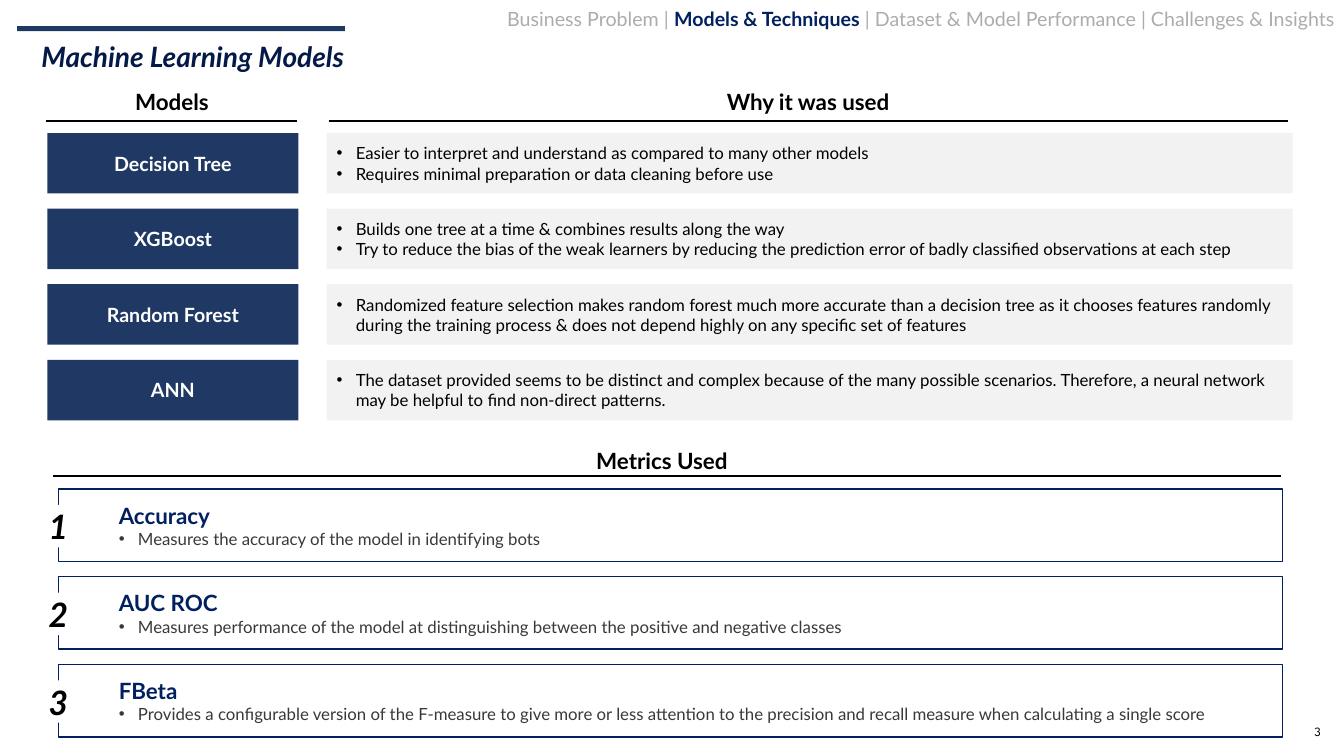
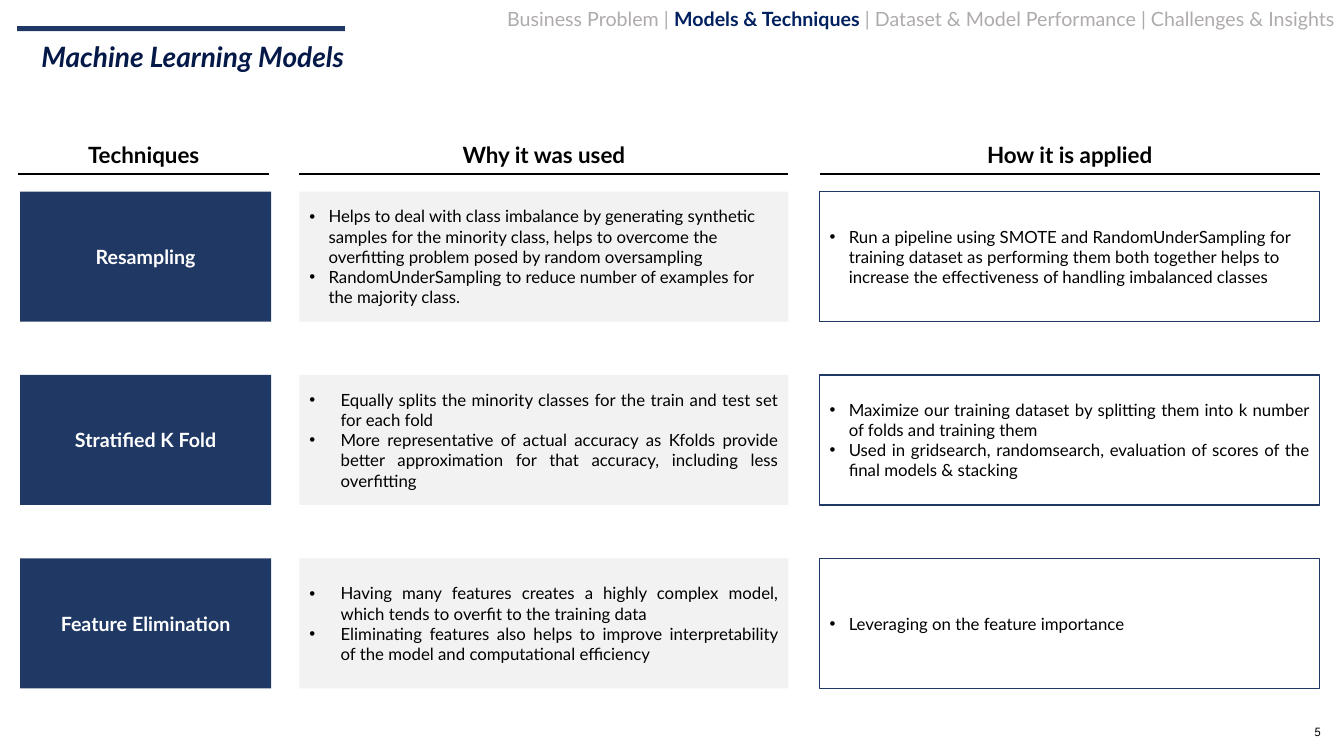
from lxml import etree
from pptx import Presentation
from pptx.dml.color import RGBColor
from pptx.enum.shapes import MSO_CONNECTOR, MSO_SHAPE
from pptx.enum.text import MSO_ANCHOR, MSO_AUTO_SIZE, PP_ALIGN
from pptx.oxml.ns import qn
from pptx.util import Inches, Pt

NAVY, DEEP_BLUE, TITLE_BLUE = "203864", "002060", "041948"
BLACK, WHITE, PALE, GREY, CHARCOAL = "000000", "FFFFFF", "F2F2F2", "AFABAB", "3B3838"
FONT, PAGE_FONT = "Lato", "League Spartan"
LEFT, CENTER, RIGHT, JUSTIFY = PP_ALIGN.LEFT, PP_ALIGN.CENTER, PP_ALIGN.RIGHT, PP_ALIGN.JUSTIFY
TITLE_ONLY = 5
HANG = 0.19

SECTIONS = ["Business Problem", "Models & Techniques",
            "Dataset & Model Performance", "Challenges & Insights"]

MODELS = [
    ("Decision Tree", ["Easier to interpret and understand as compared to many other models",
                       "Requires minimal preparation or data cleaning before use"]),
    ("XGBoost", ["Builds one tree at a time & combines results along the way",
                 "Try to reduce the bias of the weak learners by reducing the prediction error "
                 "of badly classified observations at each step"]),
    ("Random Forest", ["Randomized feature selection makes random forest much more accurate than "
                       "a decision tree as it chooses features randomly during the training "
                       "process & does not depend highly on any specific set of features"]),
    ("ANN", ["The dataset provided seems to be distinct and complex because of the many possible "
             "scenarios. Therefore, a neural network may be helpful to find non-direct patterns."]),
]

METRICS = [
    ("Accuracy", "Measures the accuracy of the model in identifying bots"),
    ("AUC ROC", "Measures performance of the model at distinguishing between the positive "
                "and negative classes"),
    ("FBeta", "Provides a configurable version of the F-measure to give more or less attention "
              "to the precision and recall measure when calculating a single score"),
]

# name, why it was used, how it is applied, alignment, hanging indent of the reasons
TECHNIQUES = [
    ("Resampling",
     ["Helps to deal with class imbalance by generating synthetic samples for the minority "
      "class, helps to overcome the overfitting problem posed by random oversampling",
      "RandomUnderSampling to reduce number of examples for the majority class."],
     ["Run a pipeline using SMOTE and RandomUnderSampling for training dataset as performing "
      "them both together helps to increase the effectiveness of handling imbalanced classes"],
     LEFT, HANG),
    ("Stratified K Fold",
     ["Equally splits the minority classes for the train and test set for each fold",
      "More representative of actual accuracy as Kfolds provide better approximation for that "
      "accuracy, including less overfitting"],
     ["Maximize our training dataset by splitting them into k number of folds and training them",
      "Used in gridsearch, randomsearch, evaluation of scores of the final models & stacking"],
     JUSTIFY, 0.31),
    ("Feature Elimination",
     ["Having many features creates a highly complex model, which tends to overfit to the "
      "training data",
      "Eliminating features also helps to improve interpretability of the model and "
      "computational efficiency"],
     ["Leveraging on the feature importance"],
     JUSTIFY, 0.31),
]


def rgb(color):
    return RGBColor.from_string(color)


def add_run(p, text, size, color, bold=False, italic=False, font=FONT):
    r = p.add_run()
    r.text = text
    f = r.font
    f.name, f.size, f.bold, f.italic = font, Pt(size), bold, italic
    f.color.rgb = rgb(color)


def indent(p, margin, hang=0):
    """Set the left margin, with a hanging bullet when hang is given."""
    pPr = p._p.get_or_add_pPr()
    pPr.set("marL", str(Inches(margin)))
    pPr.set("indent", str(-Inches(hang)))
    if hang:
        etree.SubElement(pPr, qn("a:buFont")).set("typeface", "Arial")
        etree.SubElement(pPr, qn("a:buChar")).set("char", "•")


class Deck:
    """The presentation's style and the slide being filled."""

    def __init__(self):
        self.prs = Presentation()
        self.prs.slide_width, self.prs.slide_height = Inches(13.33), Inches(7.5)
        self.slide = None

    def new_slide(self, title, section, page):
        self.slide = self.prs.slides.add_slide(self.prs.slide_layouts[TITLE_ONLY])
        self.box(0.17, 0.26, 3.25, 0.05, fill=NAVY)
        self.title(title)
        p = self.text_box(3.8, 0, 9.54, 0.38, RIGHT)
        for i, name in enumerate(SECTIONS):
            if i:
                add_run(p, " | ", 14, GREY)
            current = name == section
            add_run(p, name, 14, DEEP_BLUE if current else GREY, bold=current)
        p = self.text_box(12.54, 7.12, 0.66, 0.27, RIGHT)
        add_run(p, str(page), 9, BLACK, font=PAGE_FONT)

    def title(self, text):
        sp = self.slide.shapes.title
        sp.left, sp.top, sp.width, sp.height = map(Inches, (0.31, 0.38, 12.72, 0.68))
        tf = sp.text_frame
        tf.auto_size, tf.vertical_anchor = MSO_AUTO_SIZE.NONE, MSO_ANCHOR.TOP
        p = tf.paragraphs[0]
        p.alignment, p.line_spacing, p.space_before = LEFT, 0.9, Pt(10)
        add_run(p, text, 20, TITLE_BLUE, bold=True, italic=True)

    def text_box(self, left, top, width, height, align):
        """Add a text box and return its empty paragraph."""
        sp = self.slide.shapes.add_textbox(*map(Inches, (left, top, width, height)))
        tf = sp.text_frame
        tf.word_wrap, tf.vertical_anchor = True, MSO_ANCHOR.MIDDLE
        p = tf.paragraphs[0]
        p.alignment = align
        return p

    def box(self, left, top, width, height, fill=None, line=None):
        """Add a rectangle and return its text frame."""
        sp = self.slide.shapes.add_shape(
            MSO_SHAPE.RECTANGLE, *map(Inches, (left, top, width, height)))
        sp.shadow.inherit = False
        if fill:
            sp.fill.solid()
            sp.fill.fore_color.rgb = rgb(fill)
        else:
            sp.fill.background()
        if line:
            sp.line.color.rgb, sp.line.width = rgb(line), Pt(1)
        else:
            sp.line.fill.background()
        tf = sp.text_frame
        tf.word_wrap, tf.vertical_anchor = True, MSO_ANCHOR.MIDDLE
        return tf

    def label(self, text, left, top, width, height):
        p = self.box(left, top, width, height, fill=NAVY).paragraphs[0]
        p.alignment = CENTER
        add_run(p, text, 14, WHITE, bold=True)

    def bullets(self, items, left, top, width, height, align=LEFT, hang=HANG, **look):
        tf = self.box(left, top, width, height, **look)
        for i, item in enumerate(items):
            p = tf.add_paragraph() if i else tf.paragraphs[0]
            p.alignment = align
            indent(p, hang, hang)
            add_run(p, item, 12, BLACK)

    def rule(self, left, y, width):
        ln = self.slide.shapes.add_connector(
            MSO_CONNECTOR.STRAIGHT, *map(Inches, (left, y, left + width, y)))
        ln.line.color.rgb, ln.line.width = rgb(BLACK), Pt(1.5)
        etree.SubElement(ln._element.spPr, qn("a:effectLst"))

    def heading(self, text, left, top, width):
        p = self.text_box(left, top, width, 0.39, CENTER)
        add_run(p, text, 16, BLACK, bold=True)

    def column_head(self, text, left, top, width):
        self.heading(text, left, top, width)
        self.rule(left, top + 0.39, width)

    def metric(self, number, name, meaning, left, top):
        tf = self.box(left, top, 12.14, 0.72, line=DEEP_BLUE)
        p = tf.paragraphs[0]
        p.alignment = LEFT
        indent(p, 0.5)
        add_run(p, name, 16, DEEP_BLUE, bold=True)
        p = tf.add_paragraph()
        p.alignment = LEFT
        indent(p, 0.5 + HANG, HANG)
        add_run(p, meaning, 12, CHARCOAL)
        p = self.box(left - 0.26, top + 0.16, 0.52, 0.42, fill=WHITE).paragraphs[0]
        p.alignment = CENTER
        add_run(p, str(number), 24, BLACK, bold=True, italic=True)


def models_slide(deck):
    deck.new_slide("Machine Learning Models", "Models & Techniques", 3)
    deck.column_head("Models", 0.46, 0.81, 2.49)
    deck.column_head("Why it was used", 3.26, 0.81, 9.51)
    for i, (name, reasons) in enumerate(MODELS):
        top = 1.32 + 0.75 * i
        deck.label(name, 0.47, top, 2.49, 0.6)
        deck.bullets(reasons, 3.24, top, 9.58, 0.6, fill=PALE)
    deck.heading("Metrics Used", 4.14, 4.37, 4.85)
    deck.rule(0.53, 4.72, 12.18)
    for i, (name, meaning) in enumerate(METRICS):
        deck.metric(i + 1, name, meaning, 0.58, 4.85 + 0.87 * i)


def techniques_slide(deck):
    deck.new_slide("Machine Learning Models", "Models & Techniques", 5)
    deck.column_head("Techniques", 0.18, 1.34, 2.49)
    deck.column_head("Why it was used", 2.97, 1.34, 4.85)
    deck.column_head("How it is applied", 8.13, 1.34, 4.96)
    for i, (name, reasons, uses, align, hang) in enumerate(TECHNIQUES):
        top = 1.9 + 1.82 * i
        deck.label(name, 0.2, top, 2.49, 1.29)
        deck.bullets(reasons, 2.97, top, 4.85, 1.29, align, hang, fill=PALE)
        deck.bullets(uses, 8.13, top, 4.96, 1.29, align, line=NAVY)


def main():
    deck = Deck()
    models_slide(deck)
    techniques_slide(deck)
    deck.prs.save("out.pptx")


if __name__ == "__main__":
    main()
